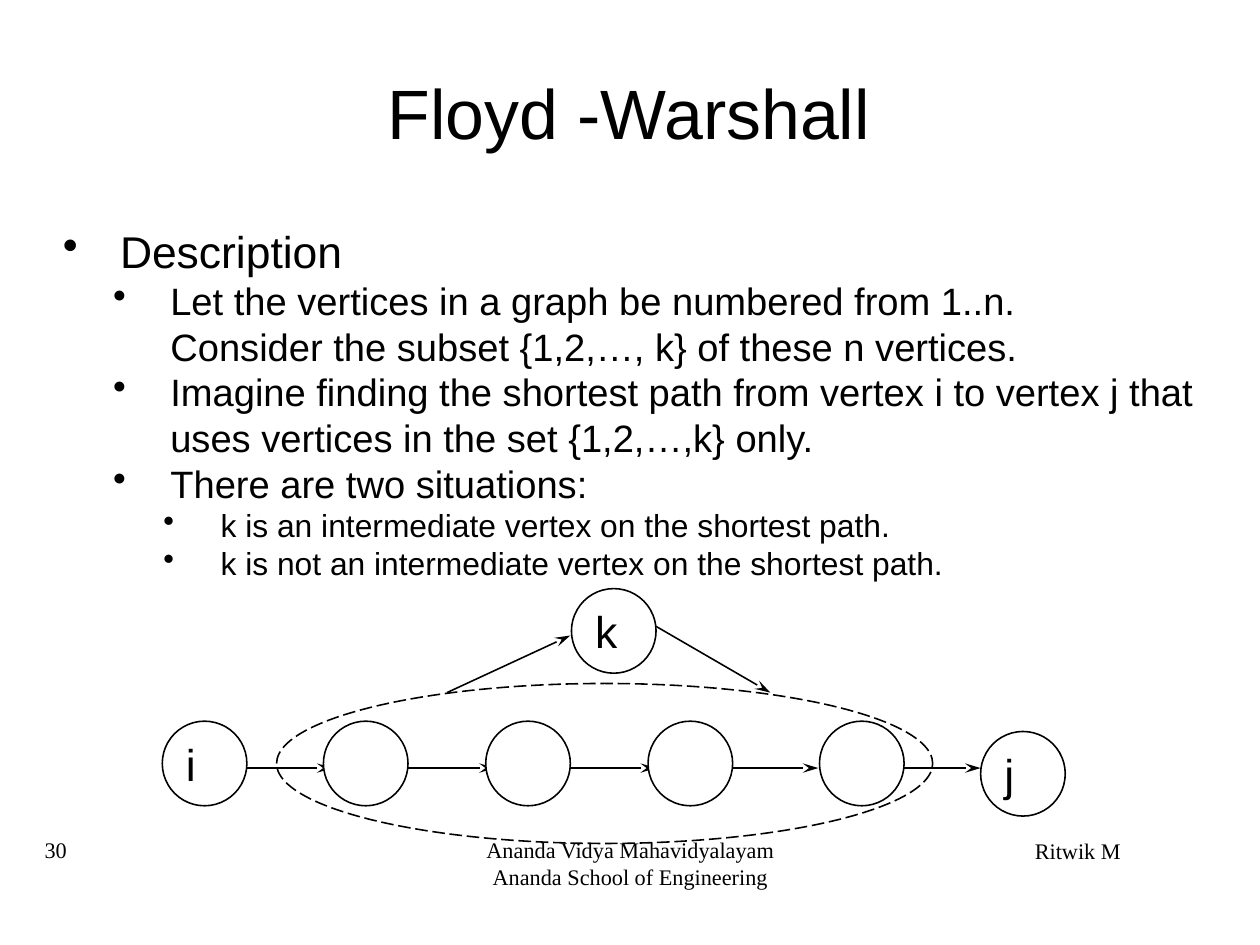
from lxml import etree
from pptx import Presentation
from pptx.dml.color import RGBColor
from pptx.enum.dml import MSO_LINE
from pptx.enum.shapes import MSO_CONNECTOR, MSO_SHAPE
from pptx.enum.text import MSO_ANCHOR, PP_ALIGN
from pptx.oxml.ns import qn
from pptx.util import Inches, Pt

BLACK = RGBColor(0x00, 0x00, 0x00)
WHITE = RGBColor(0xFF, 0xFF, 0xFF)
NODE_SIZE = 0.74

prs = Presentation()
# 28 by 21 centimetres
prs.slide_width, prs.slide_height = Inches(28 / 2.54), Inches(21 / 2.54)
slide = prs.slides.add_slide(prs.slide_layouts[5])
shapes = slide.shapes


def fill_text(frame, lines, size, font="Arial", align=PP_ALIGN.LEFT, spacing=None, top=0):
    """Write one paragraph per line, with no insets except the top one."""
    frame.word_wrap = True
    frame.margin_left = frame.margin_right = frame.margin_bottom = 0
    frame.margin_top = Inches(top)
    frame.text = "\n".join(lines)
    for paragraph in frame.paragraphs:
        paragraph.alignment = align
        paragraph.line_spacing = spacing
        paragraph.font.size = Pt(size)
        paragraph.font.name = font
        paragraph.font.color.rgb = BLACK


def add_ellipse(left, top, width, height):
    ellipse = shapes.add_shape(MSO_SHAPE.OVAL, Inches(left), Inches(top),
                               Inches(width), Inches(height))
    ellipse.shadow.inherit = False
    ellipse.line.color.rgb = BLACK
    ellipse.line.width = Pt(1)
    return ellipse


# Title
title = shapes.title
title.left, title.top = Inches(0.55), Inches(0.33)
title.width, title.height = Inches(9.91), Inches(1.38)
fill_text(title.text_frame, ["Floyd -Warshall"], 44, align=PP_ALIGN.CENTER, spacing=0.93)
title.text_frame.vertical_anchor = MSO_ANCHOR.MIDDLE

# Description: (level, text)
description = [
    (0, "Description"),
    (1, "Let the vertices in a graph be numbered from 1..n. \v"
        "Consider the subset {1,2,…, k} of these n vertices."),
    (1, "Imagine finding the shortest path from vertex i to vertex j that "
        "uses vertices in the set {1,2,…,k} only."),
    (1, "There are two situations:"),
    (2, "k is an intermediate vertex on the shortest path."),
    (2, "k is not an intermediate vertex on the shortest path."),
]
level_sizes = [28, 24, 20]
body = shapes.add_textbox(Inches(0.55), Inches(1.93), Inches(9.91), Inches(4.79)).text_frame
fill_text(body, [text for _, text in description], 28, top=0.03)
for paragraph, (level, _) in zip(body.paragraphs, description):
    paragraph.level = level
    paragraph.font.size = Pt(level_sizes[level])
    properties = paragraph._p.get_or_add_pPr()
    properties.set("marL", str(Inches(0.5 + 0.44 * level)))
    properties.set("indent", str(Inches(-0.5)))
    bullet = etree.Element(qn("a:buChar"), char="•")
    properties.find(qn("a:defRPr")).addprevious(bullet)

# Footer: left, width, top inset, alignment, lines
footers = [
    (0.39, 2.56, 0, PP_ALIGN.LEFT, ["30"]),
    (3.77, 3.49, 0, PP_ALIGN.CENTER,
     ["Ananda Vidya Mahavidyalayam", "Ananda School of Engineering"]),
    (8.18, 2.5, 0.01, PP_ALIGN.CENTER, ["Ritwik M"]),
]
for left, width, inset, align, lines in footers:
    footer = shapes.add_textbox(Inches(left), Inches(7.34), Inches(width), Inches(0.56))
    fill_text(footer.text_frame, lines, 14, "Times New Roman", align, 0.93, inset)
    footer.text_frame.paragraphs[0].space_after = Pt(1)

# Arrows between the vertices: start x, y, end x, y
edges = [
    (1.83, 6.72, 2.91, 6.72),
    (3.24, 6.72, 4.33, 6.72),
    (4.66, 6.72, 5.74, 6.72),
    (6.16, 6.72, 7.16, 6.72),
    (7.58, 6.72, 8.58, 6.72),
    (3.91, 6.06, 4.99, 5.56),
    (5.74, 5.48, 6.74, 6.06),
]
for edge in edges:
    arrow = shapes.add_connector(MSO_CONNECTOR.STRAIGHT, *map(Inches, edge))
    arrow.line.color.rgb = BLACK
    arrow.line.width = Pt(1)
    etree.SubElement(arrow.line._get_or_add_ln(), qn("a:tailEnd"), type="stealth", len="lg")
    etree.SubElement(arrow._element.spPr, qn("a:effectLst"))

# Vertices: label, left, top
vertices = [
    ("i", 1.42, 6.31),
    ("", 2.83, 6.31),
    ("", 4.25, 6.31),
    ("", 5.67, 6.31),
    ("", 7.17, 6.31),
    ("j", 8.58, 6.4),
    ("k", 5, 5.15),
]
for label, left, top in vertices:
    vertex = add_ellipse(left, top, NODE_SIZE, NODE_SIZE)
    vertex.fill.solid()
    vertex.fill.fore_color.rgb = WHITE
    if label:
        frame = vertex.text_frame
        frame.word_wrap = False
        frame.text = label
        name = frame.paragraphs[0]
        name.alignment = PP_ALIGN.LEFT
        name.font.size = Pt(28)
        name.font.name = "Arial"
        name.font.color.rgb = BLACK

# Dashed outline around the subset {1,2,…,k}
subset = add_ellipse(2.42, 5.98, 5.74, 1.4)
subset.fill.background()
subset.line.dash_style = MSO_LINE.LONG_DASH

prs.save("out.pptx")
